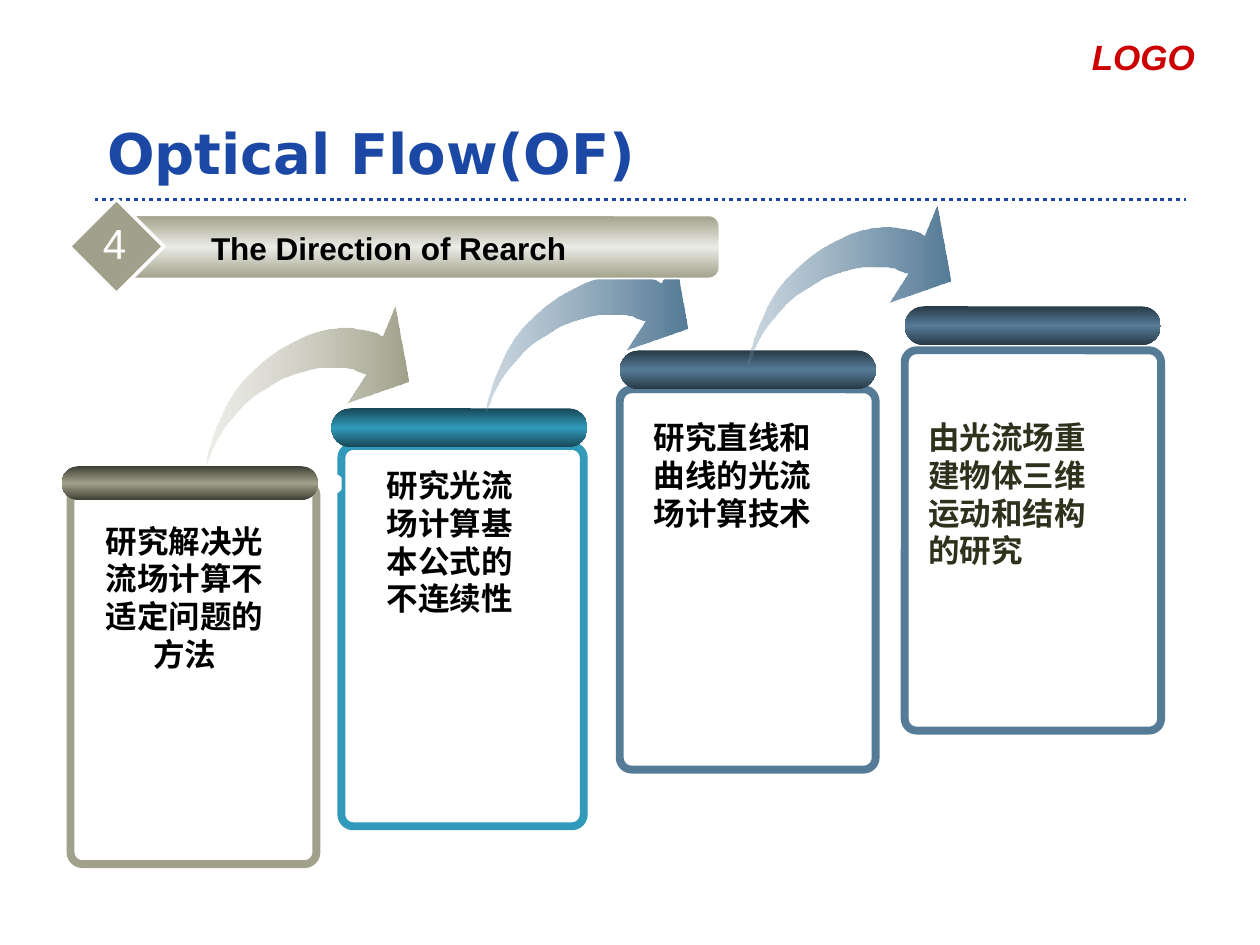
"""Build the Optical Flow slide with four stepped research cards."""
from copy import deepcopy

from lxml.etree import SubElement
from pptx import Presentation
from pptx.dml.color import RGBColor
from pptx.enum.dml import MSO_LINE
from pptx.enum.shapes import MSO_CONNECTOR, MSO_SHAPE as Shape
from pptx.enum.text import MSO_ANCHOR as Anchor, MSO_AUTO_SIZE as AutoSize, PP_ALIGN as Align
from pptx.oxml.ns import qn
from pptx.util import Pt

rgb = RGBColor.from_string
BLUE, OLIVE, TEAL, STEEL, WHITE = "1A48A4", "A1A18B", "319ABB", "557B97", "FFFFFF"


def add_text(text, box, size=18, font="Arial", color="000000", bold=True,
             italic=False, align=Align.LEFT, anchor=Anchor.TOP, wrap=True):
    frame = box.text_frame
    frame.word_wrap = wrap
    frame.auto_size = AutoSize.NONE
    frame.vertical_anchor = anchor
    para = frame.paragraphs[0]
    para.alignment = align
    span = para.add_run()
    span.text = text
    span.font.size, span.font.name = Pt(size), font
    span.font.bold, span.font.italic = bold, italic
    span.font.color.rgb = rgb(color)


def paint(shape, colors=(), angle=0, start_alpha=None, line=None, width=1):
    shape.shadow.inherit = False
    if line:
        shape.line.color.rgb = rgb(line)
        shape.line.width = Pt(width)
    else:
        shape.line.fill.background()
    if not colors:
        shape.fill.background()
    elif len(colors) == 1:
        shape.fill.solid()
        shape.fill.fore_color.rgb = rgb(colors[0])
    else:
        shape.fill.gradient()
        shape.fill.gradient_angle = angle
        stop_list = shape._element.spPr.find(qn("a:gradFill")).find(qn("a:gsLst"))
        while len(stop_list) < len(colors):
            stop_list.append(deepcopy(stop_list[0]))
        for index, (stop, color) in enumerate(zip(shape.fill.gradient_stops, colors)):
            stop.color.rgb = rgb(color)
            stop.position = index / (len(colors) - 1)
        if start_alpha:
            SubElement(stop_list[0][0], qn("a:alpha"), val=str(start_alpha * 1000))


deck = Presentation()
deck.slide_width, deck.slide_height = Pt(720), Pt(540)
page = deck.slides.add_slide(deck.slide_layouts[5])
shapes = page.shapes

title = shapes.title
title.left, title.top, title.width, title.height = Pt(54), Pt(66.2), Pt(534), Pt(42)
add_text("Optical Flow(OF)", title, size=32, font="DejaVu Sans", color=BLUE, anchor=Anchor.MIDDLE)

rule = shapes.add_connector(MSO_CONNECTOR.STRAIGHT, Pt(54), Pt(114), Pt(678), Pt(114))
rule.line.color.rgb = rgb(BLUE)
rule.line.width = Pt(2.25)
rule.line.dash_style = MSO_LINE.ROUND_DOT
SubElement(rule._element.spPr, qn("a:effectLst"))

logo_box = shapes.add_textbox(Pt(462), Pt(16.6), Pt(228), Pt(19.4))
add_text("LOGO", logo_box, size=20, color="CC0000", italic=True, align=Align.RIGHT)

arrow_outline = [
    (0, 126), (1, 123), (3, 119), (5, 113), (8, 107), (12, 100), (17, 93), (23, 86),
    (30, 78), (38, 71), (48, 65), (59, 58), (70, 54), (80, 51), (89, 49), (97, 49),
    (111, 49), (116, 50), (120, 52), (126, 54), (111, 77), (160, 60), (149, 0),
    (139, 24), (134, 21), (125, 19), (119, 18), (113, 17), (105, 17), (97, 18),
    (88, 20), (79, 23), (69, 28), (58, 34), (47, 42), (38, 50), (29, 59), (22, 68),
    (16, 78), (12, 87), (8, 96), (5, 104), (3, 111), (1, 117),
]
cards = [
    dict(frame=(40.3, 276.5, 140.5), pill=(35.3, 266.4, 19.4), color=OLIVE, dark="3F3F36",
         text="研究解决光流场计算不适定问题的方法", box=(46.8, 294.5, 117.4),
         align=Align.CENTER, arrow=(118.1, 175), pale="C9C9BC"),
    dict(frame=(195.1, 254.9, 138.5), pill=(189.4, 233.3, 22.3), color=TEAL, dark="174757",
         text="研究光流场计算基本公式的不连续性", box=(213.8, 262.8, 99.4),
         arrow=(277.9, 144.7), pale="6487A0"),
    dict(frame=(354.2, 222.5, 146.2), pill=(354.2, 200.2, 22.3), color=STEEL, dark="273946",
         text="研究直线和曲线的光流场计算技术", box=(366.5, 235.4, 115.2),
         arrow=(427.7, 117.4), pale="6487A0"),
    dict(frame=(517, 200.2, 146.5), pill=(517, 175, 22.3), color=STEEL, dark="273946",
         text="由光流场重建物体三维运动和结构的研究", box=(523.4, 235.4, 115.9),
         text_color="30311D"),
]
for card in cards:
    left, top, width = card["frame"]
    frame = shapes.add_shape(Shape.ROUNDED_RECTANGLE, Pt(left), Pt(top), Pt(width), Pt(217.3))
    frame.adjustments[0] = 6.8 / width
    paint(frame, line=card["color"], width=4.5)

    left, top, height = card["pill"]
    pill = shapes.add_shape(Shape.ROUNDED_RECTANGLE, Pt(left), Pt(top), Pt(146.3), Pt(height))
    pill.adjustments[0] = 0.5
    paint(pill, [card["dark"], card["color"], card["dark"]], angle=270)

    left, top, width = card["box"]
    box = shapes.add_textbox(Pt(left), Pt(top), Pt(width), Pt(93.6))
    add_text(card["text"], box, color=card.get("text_color", "000000"),
             align=card.get("align", Align.LEFT))

    if "arrow" in card:
        left, top = card["arrow"]
        builder = shapes.build_freeform(*arrow_outline[0], scale=Pt(0.72))
        builder.add_line_segments(arrow_outline[1:])
        arrow = builder.convert_to_shape(Pt(left), Pt(top))
        arrow_end = OLIVE if card["color"] == OLIVE else STEEL
        paint(arrow, [card["pale"], arrow_end], start_alpha=32)

notch = shapes.add_shape(Shape.OCTAGON, Pt(189.4), Pt(271.4), Pt(5.8), Pt(10.1))
paint(notch, [WHITE])

banner = shapes.add_shape(Shape.ROUNDED_RECTANGLE, Pt(69.1), Pt(123.1), Pt(342), Pt(36))
paint(banner, [OLIVE, "EBEBE6", OLIVE], angle=270, line=WHITE)
diamond = shapes.add_shape(Shape.DIAMOND, Pt(39.6), Pt(113.8), Pt(54), Pt(54))
paint(diamond, [OLIVE], line=WHITE, width=2)

heading_box = shapes.add_textbox(Pt(87.1), Pt(127.4), Pt(270), Pt(28.8))
add_text("The Direction of Rearch", heading_box, align=Align.CENTER)
number_box = shapes.add_textbox(Pt(51.8), Pt(121), Pt(27.4), Pt(36))
add_text("4", number_box, size=24, color=WHITE, bold=False, align=Align.CENTER, wrap=False)

deck.save("out.pptx")
